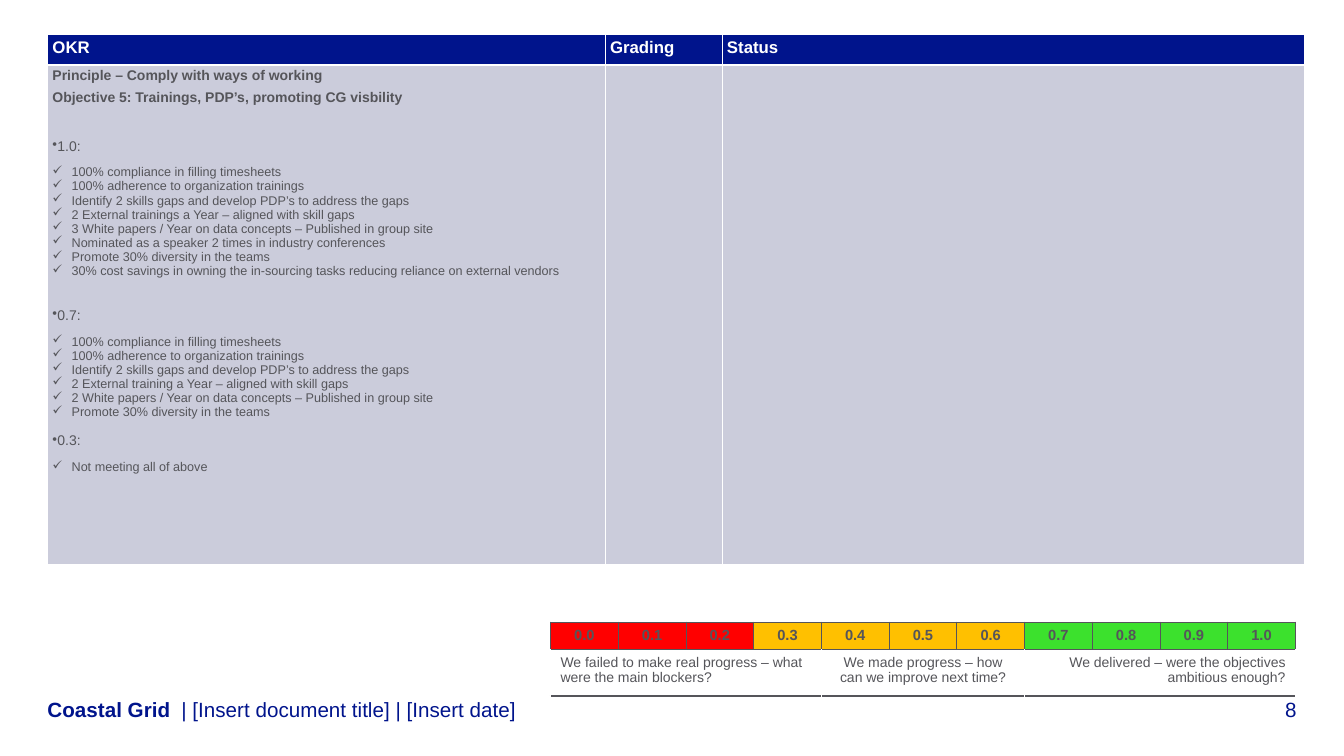
import pptx
import pptx.util
import pptx.dml.color
import pptx.enum.text
import pptx.oxml.ns
import lxml.etree

WIDE, HIGH = 13.33, 7.5
NAVY, GREY, WHITE = "00148C", "55555A", "FFFFFF"
PALE, RED, AMBER, GREEN = "CBCCDB", "FF0000", "FFC000", "3CE12D"
ALIGN = pptx.enum.text.PP_ALIGN
LEFT, MID, RIGHT = ALIGN.LEFT, ALIGN.CENTER, ALIGN.RIGHT

COLS = [41.49, 8.7, 43.36]
HEADS = ["OKR", "Grading", "Status"]
AIMS = [
    "Principle – Comply with ways of working",
    "Objective 5: Trainings, PDP’s, promoting CG visbility",
]
BASE = [
    "100% compliance in filling timesheets",
    "100% adherence to organization trainings",
    "Identify 2 skills gaps and develop PDP’s to address the gaps",
]
TEAMS = "Promote 30% diversity in the teams"
LEVELS = [
    ("1.0:", 19, BASE + [
        "2 External trainings a Year – aligned with skill gaps",
        "3 White papers / Year on data concepts – Published in group site",
        "Nominated as a speaker 2 times in industry conferences",
        TEAMS,
        "30% cost savings in owning the in-sourcing tasks reducing reliance on external vendors",
    ]),
    ("0.7:", 21, BASE + [
        "2 External training a Year – aligned with skill gaps",
        "2 White papers / Year on data concepts – Published in group site",
        TEAMS,
    ]),
    ("0.3:", 10, ["Not meeting all of above"]),
]
SCALE = [RED] * 3 + [AMBER] * 4 + [GREEN] * 4
NOTES = [
    (0, 4, LEFT, "We failed to make real progress – what were the main blockers?"),
    (4, 3, MID, "We made progress – how can we improve next time?"),
    (7, 4, RIGHT, "We delivered – were the objectives ambitious enough?"),
]


def across(share):
    return pptx.util.Inches(WIDE * share / 100)


def down(share):
    return pptx.util.Inches(HIGH * share / 100)


def color(code):
    return pptx.dml.color.RGBColor.from_string(code)


def write(frame, text, size=10, tint=GREY, bold=False, align=LEFT,
          before=0, after=0, mark=None, hang=0):
    para = frame.paragraphs[0]
    if para.runs:
        para = frame.add_paragraph()
    if mark:
        props = para._p.get_or_add_pPr()
        inch = pptx.util.Inches(hang)
        props.set("marL", str(inch))
        props.set("indent", str(-inch))
        tag = pptx.oxml.ns.qn("a:buChar")
        lxml.etree.SubElement(props, tag).set("char", mark)
    para.alignment = align
    if before:
        para.space_before = pptx.util.Pt(before)
    para.space_after = pptx.util.Pt(after)
    run = para.add_run()
    run.text = text
    run.font.name = "Arial"
    run.font.size = pptx.util.Pt(size)
    run.font.bold = bold
    run.font.color.rgb = color(tint)


def label(slide, left, width, text, **form):
    box = slide.shapes.add_textbox(
        across(left), down(92.13), across(width), down(3.33))
    frame = box.text_frame
    frame.word_wrap = True
    frame.vertical_anchor = pptx.enum.text.MSO_ANCHOR.BOTTOM
    frame.margin_left = frame.margin_right = 0
    frame.margin_top = frame.margin_bottom = 0
    write(frame, text, size=14.7, tint=NAVY, **form)


def grid(slide, left, top, cols, rows):
    table = slide.shapes.add_table(
        len(rows), len(cols), across(left), down(top),
        across(sum(cols)), down(sum(rows))).table
    table.horz_banding = False
    for col, share in zip(table.columns, cols):
        col.width = across(share)
    for row, share in zip(table.rows, rows):
        row.height = down(share)
    return table


def paint(cell, fill, edges):
    if fill:
        cell.fill.solid()
        cell.fill.fore_color.rgb = color(fill)
    else:
        cell.fill.background()
    props = cell._tc.get_or_add_tcPr()
    for spot, side in enumerate("LRTB"):
        tint, size = edges[side]
        line = lxml.etree.Element(pptx.oxml.ns.qn("a:ln" + side))
        line.set("w", str(pptx.util.Pt(size)))
        solid = lxml.etree.SubElement(line, pptx.oxml.ns.qn("a:solidFill"))
        hue = lxml.etree.SubElement(solid, pptx.oxml.ns.qn("a:srgbClr"))
        hue.set("val", tint)
        props.insert(spot, line)


def inset(cell):
    cell.margin_left = cell.margin_right = pptx.util.Inches(0.05)
    cell.margin_top = cell.margin_bottom = pptx.util.Inches(0.03)


def goals(slide):
    table = grid(slide, 3.53, 4.6, COLS, [4, 66])
    thin = dict.fromkeys("LRTB", (WHITE, 0.5))
    thick = (WHITE, 1.2)
    for col, head in enumerate(HEADS):
        top, body = table.cell(0, col), table.cell(1, col)
        paint(top, NAVY, {**thin, "B": thick})
        paint(body, PALE, {**thin, "T": thick})
        inset(top)
        inset(body)
        write(top.text_frame, head, size=12, tint=WHITE, bold=True)
    frame = table.cell(1, 0).text_frame
    for aim in AIMS:
        write(frame, aim, bold=True, after=4.5)
    for grade, gap, tasks in LEVELS:
        write(frame, grade, before=gap, after=8, mark="•")
        for task in tasks:
            write(frame, task, size=9, mark="✓", hang=0.19)


def scale(slide):
    table = grid(slide, 40.96, 82.27, [5.04] * len(SCALE), [3.6, 6.13])
    dark = dict.fromkeys("LRTB", (GREY, 0.5))
    open_ = {**dict.fromkeys("LR", (WHITE, 1)), "T": (GREY, 0.5), "B": (GREY, 1)}
    for col, fill in enumerate(SCALE):
        cell = table.cell(0, col)
        paint(cell, fill, dark)
        write(cell.text_frame, f"{col / 10:.1f}", size=10.5, bold=True, align=MID)
        paint(table.cell(1, col), None, open_)
    for start, span, align, note in NOTES:
        cell = table.cell(1, start)
        cell.merge(table.cell(1, start + span - 1))
        write(cell.text_frame, note, align=align)


def main():
    deck = pptx.Presentation()
    deck.slide_width = pptx.util.Inches(WIDE)
    deck.slide_height = pptx.util.Inches(HIGH)
    slide = deck.slides.add_slide(deck.slide_layouts[6])
    label(slide, 90.62, 5.85, "8", align=RIGHT)
    label(slide, 3.53, 9.98, "Coastal Grid", bold=True)
    label(slide, 13.5, 76, "| [Insert document title] | [Insert date]")
    goals(slide)
    scale(slide)
    deck.save("out.pptx")


if __name__ == "__main__":
    main()
